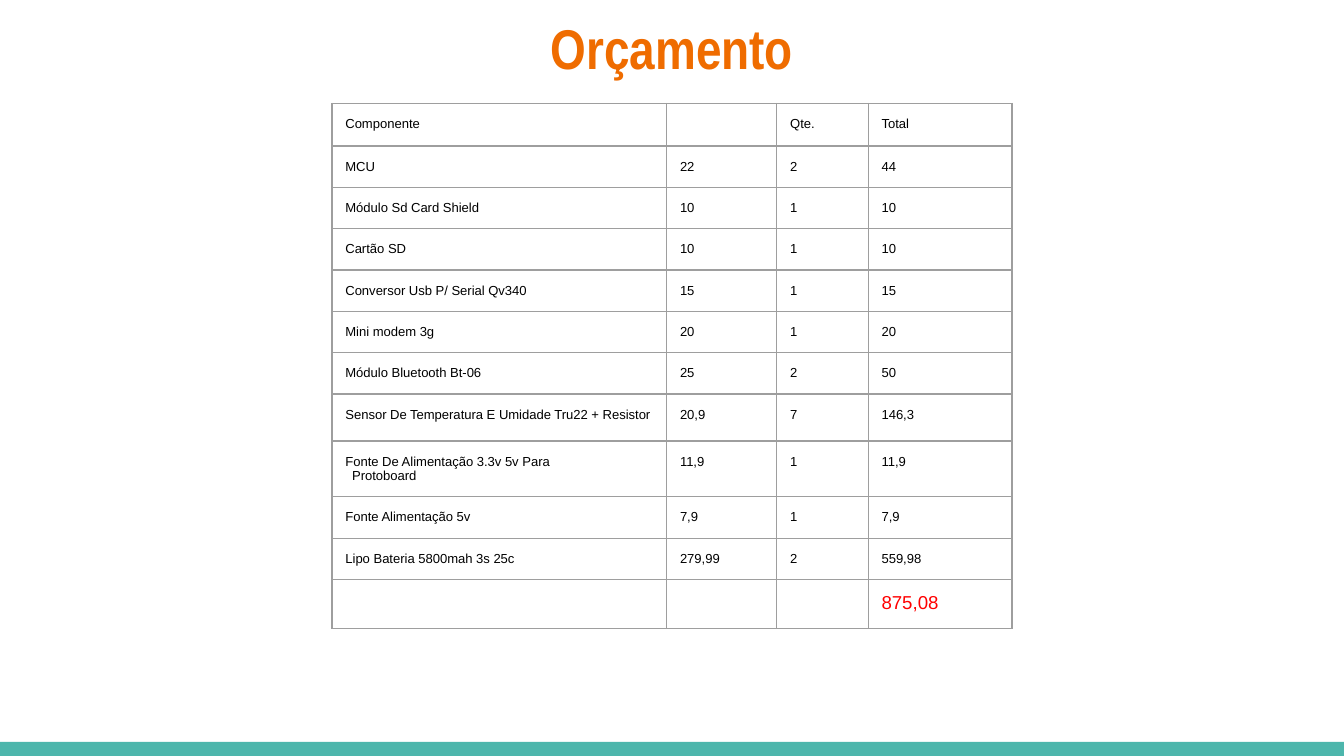
from pptx import Presentation
from pptx.dml.color import RGBColor
from pptx.enum.shapes import MSO_SHAPE
from pptx.enum.text import MSO_ANCHOR, PP_ALIGN
from pptx.oxml import parse_xml
from pptx.oxml.ns import nsdecls
from pptx.util import Inches, Pt

ORANGE = RGBColor(0xEF, 0x6C, 0x00)
TEAL = RGBColor(0x4D, 0xB6, 0xAC)
GRAY = RGBColor(0x9E, 0x9E, 0x9E)
BLACK = RGBColor(0x00, 0x00, 0x00)
RED = RGBColor(0xFF, 0x00, 0x00)

# The slide is a grid of 100 columns by 56.25 rows, each unit a tenth of an inch
COLUMNS, ROWS = 100, 56.25

BUDGET = [
    ("Componente", "", "Qte.", "Total"),
    ("MCU", "22", "2", "44"),
    ("Módulo Sd Card Shield", "10", "1", "10"),
    ("Cartão SD", "10", "1", "10"),
    ("Conversor Usb P/ Serial Qv340", "15", "1", "15"),
    ("Mini modem 3g", "20", "1", "20"),
    ("Módulo Bluetooth Bt-06", "25", "2", "50"),
    ("Sensor De Temperatura E Umidade Tru22 + Resistor", "20,9", "7", "146,3"),
    ("Fonte De Alimentação 3.3v 5v Para\vProtoboard", "11,9", "1", "11,9"),
    ("Fonte Alimentação 5v", "7,9", "1", "7,9"),
    ("Lipo Bateria 5800mah 3s 25c", "279,99", "2", "559,98"),
    ("", "", "", "875,08"),
]
COLUMN_WIDTHS = [24.9, 8.2, 6.8, 10.7]
ROW_HEIGHT = 3  # rows grow to fit their text
SENSOR_ROW, SENSOR_HEIGHT = 7, 3.5


def grid(units):
    return Inches(units / 10)


class SlideBuilder:
    title_font, body_font = "Arial Narrow", "Arial"
    title_size, body_size, total_size = 30, 7, 10
    line_height = 1.1  # table line spacing, as a share of the text size
    hanging_indent = Inches(0.05)
    padding = 1
    border_width = Pt(0.75)

    def __init__(self, slide):
        self.slide = slide

    def band(self, left, top, width, height, color):
        shape = self.slide.shapes.add_shape(
            MSO_SHAPE.RECTANGLE, grid(left), grid(top), grid(width), grid(height))
        shape.shadow.inherit = False
        shape.fill.solid()
        shape.fill.fore_color.rgb = color
        shape.line.fill.background()

    def title(self, text, left, top, width, height):
        box = self.slide.shapes.add_textbox(
            grid(left), grid(top), grid(width), grid(height))
        text_frame = box.text_frame
        text_frame.word_wrap = True
        text_frame.vertical_anchor = MSO_ANCHOR.TOP
        self.pad(text_frame)
        text_frame.text = text
        paragraph = text_frame.paragraphs[0]
        paragraph.alignment = PP_ALIGN.CENTER
        self.style(paragraph, self.title_font, self.title_size, ORANGE, True)

    def table(self, rows, left, top, widths, row_height):
        table = self.slide.shapes.add_table(
            len(rows), len(widths), grid(left), grid(top),
            grid(sum(widths)), grid(row_height * len(rows))).table
        table.first_row = table.horz_banding = False
        for column, width in zip(table.columns, widths):
            column.width = grid(width)
        for row_index, row in enumerate(rows):
            is_total = row_index == len(rows) - 1
            for column_index, text in enumerate(row):
                self.cell(table.cell(row_index, column_index), text, is_total)
        return table

    def cell(self, cell, text, is_total):
        self.pad(cell)
        self.borders(cell)
        cell.fill.background()
        cell.text_frame.text = text
        size, color = (self.total_size, RED) if is_total else (self.body_size, BLACK)
        paragraph = cell.text_frame.paragraphs[0]
        paragraph.line_spacing = Pt(size * self.line_height)
        if "\v" in text:  # the second line is slightly indented
            properties = paragraph._p.get_or_add_pPr()
            properties.set("marL", str(self.hanging_indent))
            properties.set("indent", str(-self.hanging_indent))
        self.style(paragraph, self.body_font, size, color)
        if not text:  # keeps empty cells from stretching the row
            paragraph._p.append(parse_xml(
                f'<a:endParaRPr {nsdecls("a")} sz="{size * 100}"/>'))

    def borders(self, cell):
        properties = cell._tc.get_or_add_tcPr()
        for side in "LRTB":
            properties.append(parse_xml(
                f'<a:ln{side} {nsdecls("a")} w="{self.border_width}"><a:solidFill>'
                f'<a:srgbClr val="{GRAY}"/></a:solidFill></a:ln{side}>'))

    def pad(self, target):
        target.margin_left = target.margin_right = grid(self.padding)
        target.margin_top = target.margin_bottom = grid(self.padding)

    def style(self, paragraph, font, size, color, bold=False):
        for run in paragraph.runs:
            run.font.name = font
            run.font.size = Pt(size)
            run.font.bold = bold
            run.font.color.rgb = color


def main():
    presentation = Presentation()
    presentation.slide_width, presentation.slide_height = grid(COLUMNS), grid(ROWS)
    builder = SlideBuilder(
        presentation.slides.add_slide(presentation.slide_layouts[6]))

    # Footer band and title
    builder.band(0, 55.2, COLUMNS, ROWS - 55.2, TEAL)
    builder.title("Orçamento", 0, 0, COLUMNS, 7.7)

    # Budget table
    table = builder.table(BUDGET, 24.7, 7.7, COLUMN_WIDTHS, ROW_HEIGHT)
    table.rows[SENSOR_ROW].height = grid(SENSOR_HEIGHT)

    presentation.save("out.pptx")


if __name__ == "__main__":
    main()
